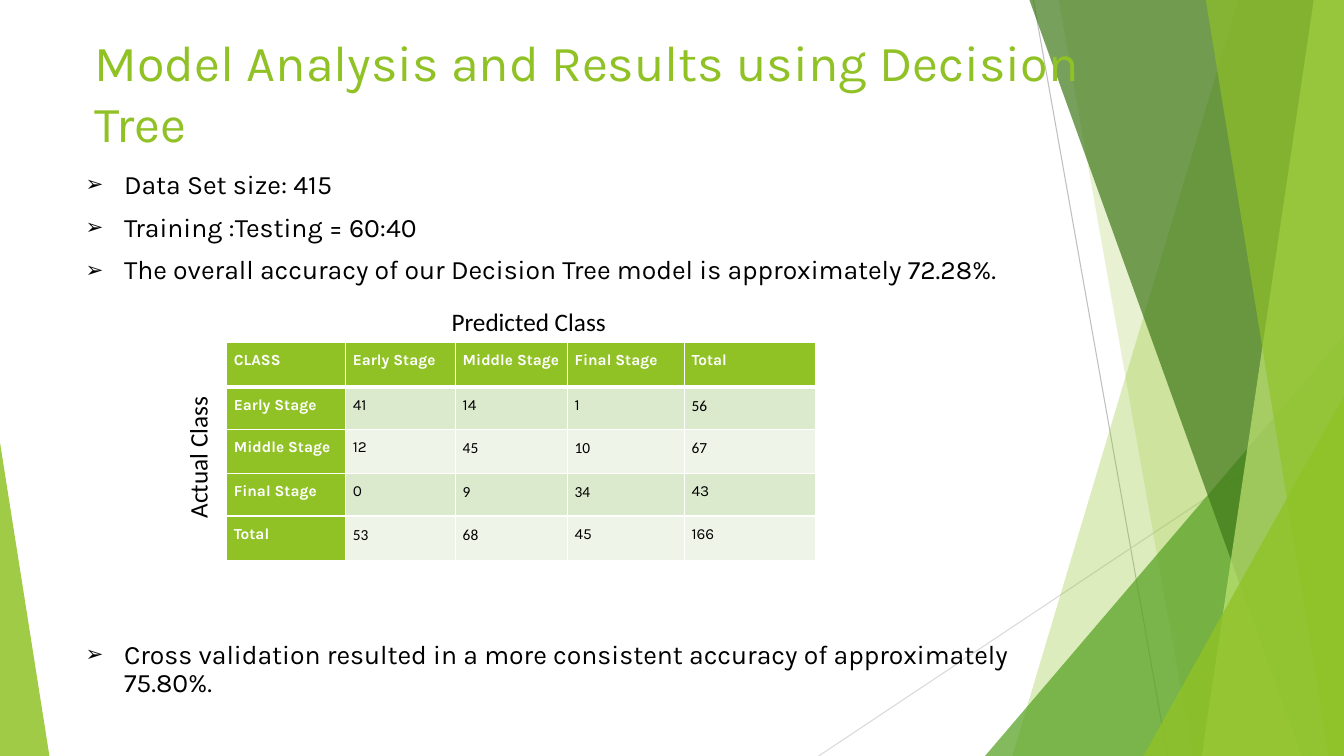
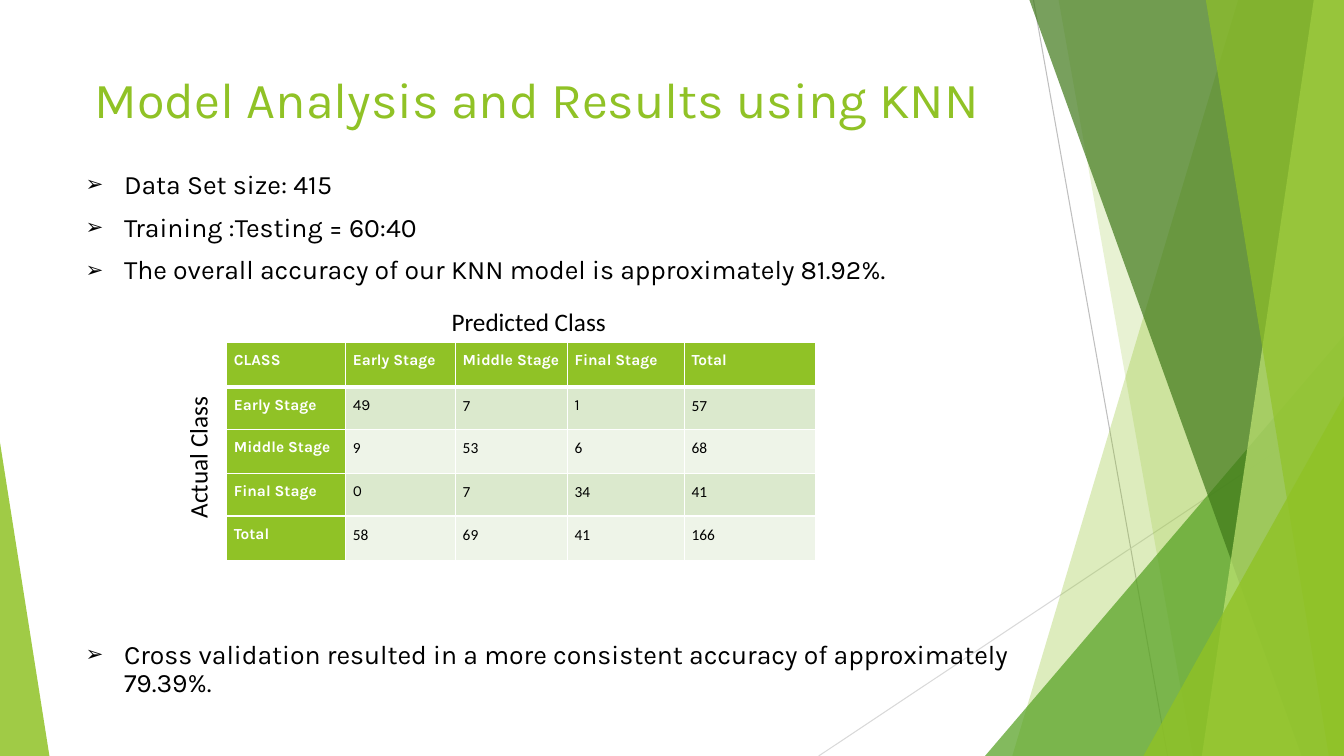
from dataclasses import dataclass
from typing import Any

from lxml.etree import SubElement
from pptx import Presentation
from pptx.dml.color import RGBColor as RGB
from pptx.enum.shapes import MSO_CONNECTOR as CONN, MSO_SHAPE as SHAPE
from pptx.enum.text import MSO_ANCHOR as ANCHOR, MSO_AUTO_SIZE as AUTO, PP_ALIGN as ALIGN
from pptx.oxml.ns import qn
from pptx.util import Emu, Pt

PX = 9144
W, H = 1333, 750
COLORS = {
    "lime": "90C226",
    "leaf": "54A021",
    "forest": "3F7819",
    "pale": "C0E474",
    "grey": "BFBFBF",
    "silver": "D9D9D9",
    "band_dark": "DBE9CD",
    "band_light": "EEF4E8",
    "black": "000000",
    "white": "FFFFFF",
}
FONTS = {"K": "Karla", "C": "Calibri"}
STAGES = ["Early Stage", "Middle Stage", "Final Stage", "Total"]
COL_WIDTHS = [118, 109, 111, 116, 130]
ROW_HEIGHTS = [44, 42, 44, 42, 44]
TITLE_FMT = {"name": FONTS["K"], "size": Pt(36)}
BODY_FMT = {"name": FONTS["K"], "size": Pt(19)}
LABEL_FMT = {"name": FONTS["C"], "size": Pt(18)}
CELL_FMT = {"size": Pt(11)}


@dataclass(frozen=True)
class Ray:
    start: tuple[int, int]
    end: tuple[int, int]
    color: str


@dataclass(frozen=True)
class Band:
    top_x: int
    bottom_x: int
    color: str
    alpha: int


@dataclass(frozen=True)
class Triangle:
    left: int
    top: int
    width: int
    apex: int
    color: str
    alpha: int


@dataclass(frozen=True)
class Label:
    text: str
    left: int
    top: int
    width: int
    rotation: int = 0


@dataclass(frozen=True)
class Model:
    title: str
    title_top: int
    name: str
    accuracy: str
    cross_accuracy: str
    counts: list[list[int]]
    fonts: list[str]


DECOR = [
    Ray((1025, 0), (1158, H), "grey"),
    Ray((W, 403), (812, H), "silver"),
    Band(1228, 1004, "lime", 30),
    Band(1050, 1183, "lime", 20),
    Triangle(977, 333, 356, 1, "leaf", 72),
    Band(1021, 1291, "forest", 70),
    Band(1303, 1192, "pale", 70),
    Band(1196, 1318, "lime", 65),
    Triangle(1134, 393, 199, 1, "lime", 80),
    Triangle(0, 439, 49, 0, "lime", 85),
]
LABELS = [
    Label("Actual Class", 125, 433, 142, 270),
    Label("Predicted Class", 438, 299, 175),
]
MODELS = [
    Model(
        "Model Analysis and Results using Decision Tree", 26,
        "Decision Tree", "72.28%", "75.80%",
        [[41, 14, 1, 56], [12, 45, 10, 67], [0, 9, 34, 43], [53, 68, 45, 166]],
        ["KKKC", "KCCC", "KCCK", "CCKK"],
    ),
    Model(
        "Model Analysis and Results using KNN", 63,
        "KNN", "81.92%", "79.39%",
        [[49, 7, 1, 57], [9, 53, 6, 68], [0, 7, 34, 41], [58, 69, 41, 166]],
        ["KCKC", "CCCC", "KCCC", "CCCC"],
    ),
]


def px(*values: int) -> list[Emu]:
    return [Emu(v * PX) for v in values]


def rgb(color: str) -> RGB:
    return RGB.from_string(COLORS[color])


def set_all(obj: Any, fmt: dict[str, Any]) -> None:
    for key, value in fmt.items():
        setattr(obj, key, value)


def write(p: Any, text: str, fmt: dict[str, Any], color: str) -> None:
    r = p.add_run()
    r.text = text
    set_all(r.font, fmt)
    r.font.color.rgb = rgb(color)


def paint(sp: Any, color: str, alpha: int) -> None:
    sp.shadow.inherit = False
    sp.fill.solid()
    sp.fill.fore_color.rgb = rgb(color)
    sp.line.fill.background()
    clr = sp.element.spPr.find(qn("a:solidFill"))[0]
    SubElement(clr, qn("a:alpha"), val=str(alpha * 1000))


def draw_ray(s: Any, ray: Ray) -> Any:
    sp = s.shapes.add_connector(CONN.STRAIGHT, *px(*ray.start, *ray.end))
    sp.line.color.rgb = rgb(ray.color)
    sp.line.width = Pt(0.75)
    SubElement(sp.element.spPr, qn("a:effectLst"))
    return sp


def draw_band(s: Any, band: Band) -> Any:
    outline = s.shapes.build_freeform(band.top_x, 0, scale=PX)
    outline.add_line_segments([(W, 0), (W, H), (band.bottom_x, H)], close=True)
    sp = outline.convert_to_shape()
    paint(sp, band.color, band.alpha)
    return sp


def draw_triangle(s: Any, tri: Triangle) -> Any:
    box = px(tri.left, tri.top, tri.width, H - tri.top)
    sp = s.shapes.add_shape(SHAPE.ISOSCELES_TRIANGLE, *box)
    sp.adjustments[0] = tri.apex
    paint(sp, tri.color, tri.alpha)
    return sp


DRAW = {Ray: draw_ray, Band: draw_band, Triangle: draw_triangle}


def move_decor_to_layout(s: Any, layout: Any) -> None:
    for ph in list(layout.placeholders)[2:]:
        ph.element.getparent().remove(ph.element)
    for item in DECOR:
        layout.shapes.element.append(DRAW[type(item)](s, item).element)


def place(sp: Any, left: int, top: int, width: int, height: int) -> None:
    sp.left, sp.top, sp.width, sp.height = px(left, top, width, height)


def fill_title(s: Any, model: Model) -> None:
    sp = s.shapes.title
    place(sp, 84, model.title_top, 1039, 144)
    tf = sp.text_frame
    set_all(tf, {"vertical_anchor": ANCHOR.TOP, "auto_size": AUTO.NONE, "word_wrap": True})
    p = tf.paragraphs[0]
    p.alignment = ALIGN.LEFT
    write(p, model.title, TITLE_FMT, "lime")


def add_bullet(p: Any) -> None:
    pPr = p._p.get_or_add_pPr()
    set_indent = {"marL": 38 * PX, "indent": -38 * PX}
    for key, value in set_indent.items():
        pPr.set(key, str(value))
    SubElement(pPr, qn("a:buSzPct"), val="80000")
    SubElement(pPr, qn("a:buChar"), char="➢")


def fill_body(s: Any, model: Model) -> None:
    sp = s.placeholders[1]
    place(sp, 75, 165, 945, 540)
    tf = sp.text_frame
    set_all(tf, {"vertical_anchor": ANCHOR.TOP, "auto_size": AUTO.NONE, "word_wrap": True})
    items = [
        ("Data Set size: 415", 0),
        ("Training :Testing = 60:40", 10),
        (f"The overall accuracy of our {model.name} model is approximately {model.accuracy}.", 10),
        ("Cross validation resulted in a more consistent accuracy of "
         f"approximately {model.cross_accuracy}.", 254),
    ]
    for i, (text, gap) in enumerate(items):
        p = tf.add_paragraph() if i else tf.paragraphs[0]
        set_all(p, {"line_spacing": 0.9, "space_before": Pt(gap), "space_after": Pt(0)})
        add_bullet(p)
        write(p, text, BODY_FMT, "black")


def add_borders(cell: Any, widths: dict[str, int]) -> None:
    tcPr = cell._tc.get_or_add_tcPr()
    for side, width in widths.items():
        ln = SubElement(tcPr, qn(f"a:ln{side}"), w=str(Pt(width)))
        fill = SubElement(ln, qn("a:solidFill"))
        SubElement(fill, qn("a:srgbClr"), val=COLORS["white"])


def fill_cell(cell: Any, row: int, col: int, text: str, font: str) -> None:
    header = row == 0 or col == 0
    band = "band_dark" if row % 2 else "band_light"
    add_borders(cell, {"L": 1, "R": 1, "T": 3 if row == 1 else 1, "B": 1 if row else 3})
    cell.fill.solid()
    cell.fill.fore_color.rgb = rgb("lime" if header else band)
    left, top = px(7, 0)
    set_all(cell, {"margin_left": left, "margin_right": left,
                   "margin_top": top, "margin_bottom": top})
    p = cell.text_frame.paragraphs[0]
    set_all(p, {"alignment": ALIGN.JUSTIFY, "line_spacing": 1.5})
    fmt = CELL_FMT | {"name": FONTS[font], "bold": header}
    write(p, text, fmt, "white" if header else "black")


def add_matrix(s: Any, model: Model) -> None:
    size = len(STAGES) + 1
    box = px(225, 340, sum(COL_WIDTHS), sum(ROW_HEIGHTS))
    table = s.shapes.add_table(size, size, *box).table
    for column, width in zip(table.columns, px(*COL_WIDTHS)):
        column.width = width
    for line, height in zip(table.rows, px(*ROW_HEIGHTS)):
        line.height = height
    rows = [["CLASS", *STAGES]]
    rows += [[stage, *map(str, counts)] for stage, counts in zip(STAGES, model.counts)]
    fonts = ["K" * size] + ["K" + keys for keys in model.fonts]
    for i, (texts, keys) in enumerate(zip(rows, fonts)):
        for j, (text, key) in enumerate(zip(texts, keys)):
            fill_cell(table.cell(i, j), i, j, text, key)


def add_label(s: Any, label: Label) -> None:
    sp = s.shapes.add_textbox(*px(label.left, label.top, label.width, 40))
    sp.rotation = label.rotation
    tf = sp.text_frame
    set_all(tf, {"word_wrap": False, "auto_size": AUTO.SHAPE_TO_FIT_TEXT,
                 "vertical_anchor": ANCHOR.MIDDLE})
    write(tf.paragraphs[0], label.text, LABEL_FMT, "black")


def main() -> None:
    prs = Presentation()
    prs.slide_width, prs.slide_height = px(W, H)
    layout = prs.slide_layouts[1]
    for i, model in enumerate(MODELS):
        s = prs.slides.add_slide(layout)
        if i == 0:
            move_decor_to_layout(s, layout)
        fill_title(s, model)
        fill_body(s, model)
        add_matrix(s, model)
        for label in LABELS:
            add_label(s, label)
    prs.save("out.pptx")


if __name__ == "__main__":
    main()
